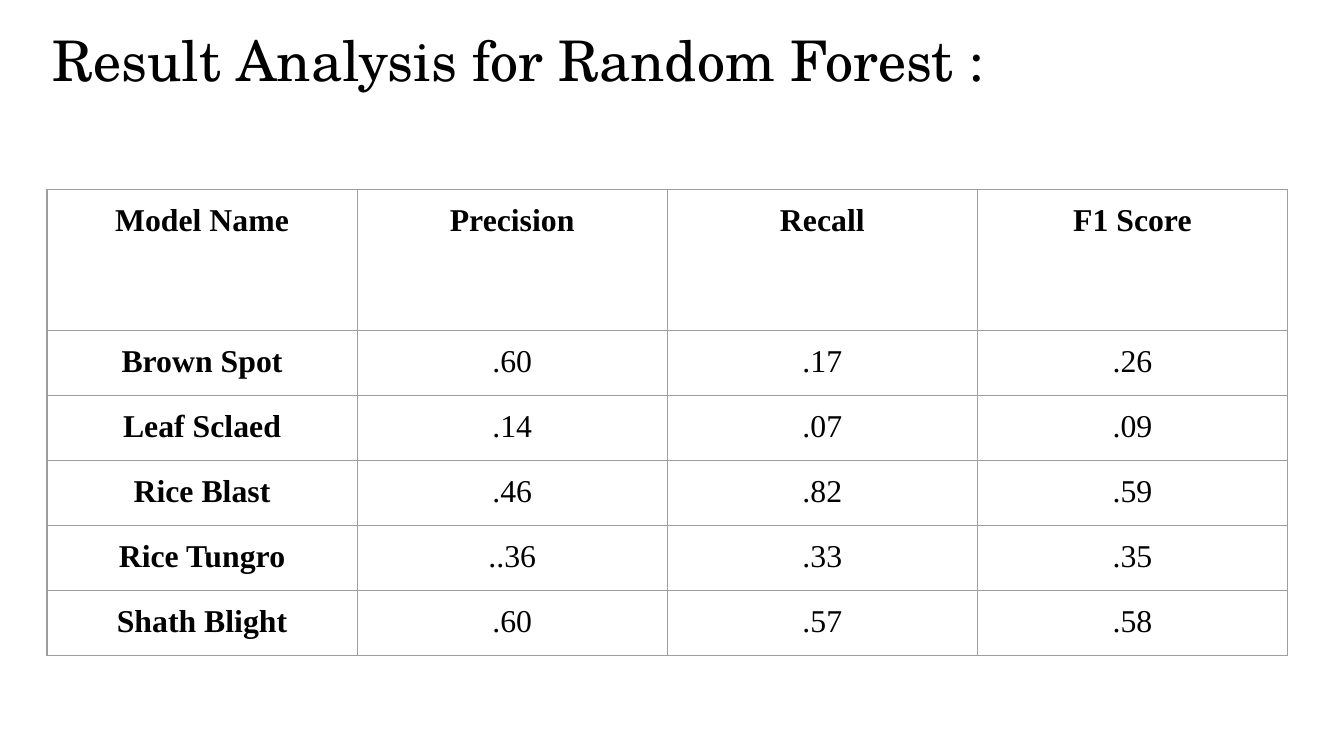
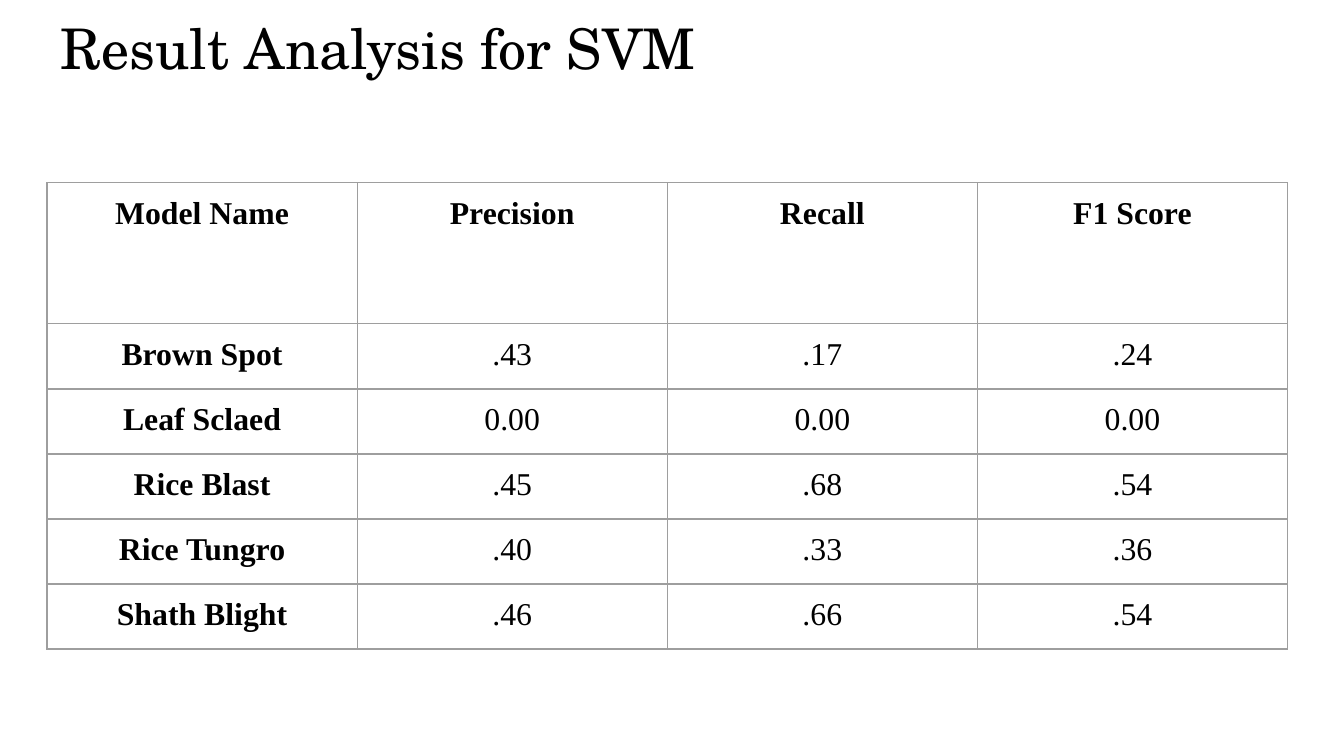
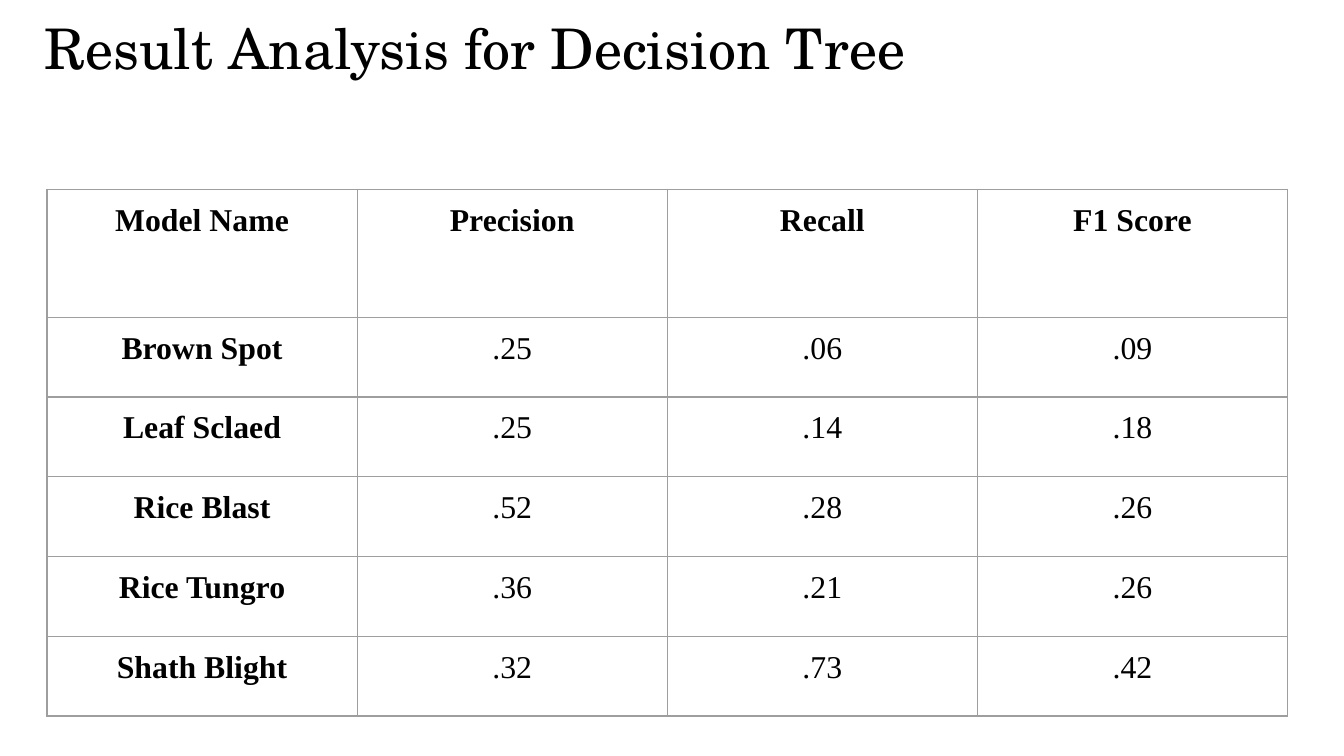
from lxml import etree
from pptx import Presentation
from pptx.dml.color import RGBColor
from pptx.enum.text import MSO_ANCHOR, MSO_AUTO_SIZE, PP_ALIGN
from pptx.oxml.ns import qn
from pptx.util import Inches, Pt

# Shared style
BLACK = RGBColor(0x00, 0x00, 0x00)
BORDER_GREY = RGBColor(0x9E, 0x9E, 0x9E)
TITLE_FONT = "TeX Gyre Schola"
TABLE_FONT = "Times New Roman"
LEFT, CENTER = PP_ALIGN.LEFT, PP_ALIGN.CENTER
TOP = MSO_ANCHOR.TOP
GROW = MSO_AUTO_SIZE.SHAPE_TO_FIT_TEXT
TITLE_ONLY = 5
PAGE_WIDTH = 10
PAGE_HEIGHT = PAGE_WIDTH * 9 / 16
INSET = Inches(0.1)
TITLE_HEIGHT = 0.71
TABLE_LEFT = 0.35
TABLE_WIDTH = 9.23
BORDER_WIDTH = Pt(0.75)

# Table wording
HEADINGS = ["Model Name", "Precision", "Recall", "F1 Score"]
DISEASES = ["Brown Spot", "Leaf Sclaed", "Rice Blast", "Rice Tungro", "Shath Blight"]

# Title and its left, top, width; table top, header height, body height; scores
RESULTS = [
    ("Result Analysis for Random Forest :", (0.29, 0.09, 9.42), (1.41, 1.05, 2.27),
     [(".60", ".17", ".26"), (".14", ".07", ".09"), (".46", ".82", ".59"),
      ("..36", ".33", ".35"), (".60", ".57", ".58")]),
    ("Result Analysis for SVM", (0.35, 0, 9.14), (1.36, 1.05, 2.42),
     [(".43", ".17", ".24"), ("0.00", "0.00", "0.00"), (".45", ".68", ".54"),
      (".40", ".33", ".36"), (".46", ".66", ".54")]),
    ("Result Analysis for Decision Tree", (0.23, 0, 9.47), (1.41, 0.95, 2.97),
     [(".25", ".06", ".09"), (".25", ".14", ".18"), (".52", ".28", ".26"),
      (".36", ".21", ".26"), (".32", ".73", ".42")]),
]


def format_text(frame, font, size, align, bold=False):
    for para in frame.paragraphs:
        para.alignment = align
        for span in para.runs:
            span.font.name = font
            span.font.size = Pt(size)
            span.font.bold = bold
            span.font.color.rgb = BLACK
        # The paragraph end takes the text size, so it does not stretch the row
        end = etree.SubElement(para._p, qn("a:endParaRPr"), sz=str(size * 100))
        etree.SubElement(end, qn("a:latin"), typeface=font)


def set_insets(target):
    target.margin_left = target.margin_right = INSET
    target.margin_top = target.margin_bottom = INSET


def add_title(page, text, place):
    box = page.shapes.title
    left, top, width = place
    box.left, box.top = Inches(left), Inches(top)
    box.width, box.height = Inches(width), Inches(TITLE_HEIGHT)
    frame = box.text_frame
    frame.text = text
    frame.word_wrap = True
    frame.auto_size = GROW
    frame.vertical_anchor = TOP
    set_insets(frame)
    format_text(frame, TITLE_FONT, 30, LEFT)


def add_borders(cell):
    properties = cell._tc.get_or_add_tcPr()
    for position, side in enumerate(("a:lnL", "a:lnR", "a:lnT", "a:lnB")):
        line = etree.Element(qn(side), w=str(int(BORDER_WIDTH)))
        fill = etree.SubElement(line, qn("a:solidFill"))
        etree.SubElement(fill, qn("a:srgbClr"), val=str(BORDER_GREY))
        properties.insert(position, line)


def add_score_table(page, layout, scores):
    top, header_height, body_height = layout
    rows = [HEADINGS] + [[name, *values] for name, values in zip(DISEASES, scores)]
    heights = [header_height] + [body_height / len(scores)] * len(scores)
    table = page.shapes.add_table(
        len(rows), len(HEADINGS), Inches(TABLE_LEFT), Inches(top),
        Inches(TABLE_WIDTH), Inches(header_height + body_height)).table
    table.first_row = table.horz_banding = False
    for column in table.columns:
        column.width = Inches(TABLE_WIDTH / len(HEADINGS))
    for row_index, values in enumerate(rows):
        table.rows[row_index].height = Inches(heights[row_index])
        for column_index, value in enumerate(values):
            cell = table.cell(row_index, column_index)
            cell.text_frame.text = value
            cell.vertical_anchor = TOP
            cell.fill.background()
            set_insets(cell)
            add_borders(cell)
            # Header row and name column are bold
            bold = row_index == 0 or column_index == 0
            format_text(cell.text_frame, TABLE_FONT, 17, CENTER, bold)


def main():
    deck = Presentation()
    deck.slide_width, deck.slide_height = Inches(PAGE_WIDTH), Inches(PAGE_HEIGHT)
    for title, place, layout, scores in RESULTS:
        page = deck.slides.add_slide(deck.slide_layouts[TITLE_ONLY])
        add_title(page, title, place)
        add_score_table(page, layout, scores)
    deck.save("out.pptx")


main()
